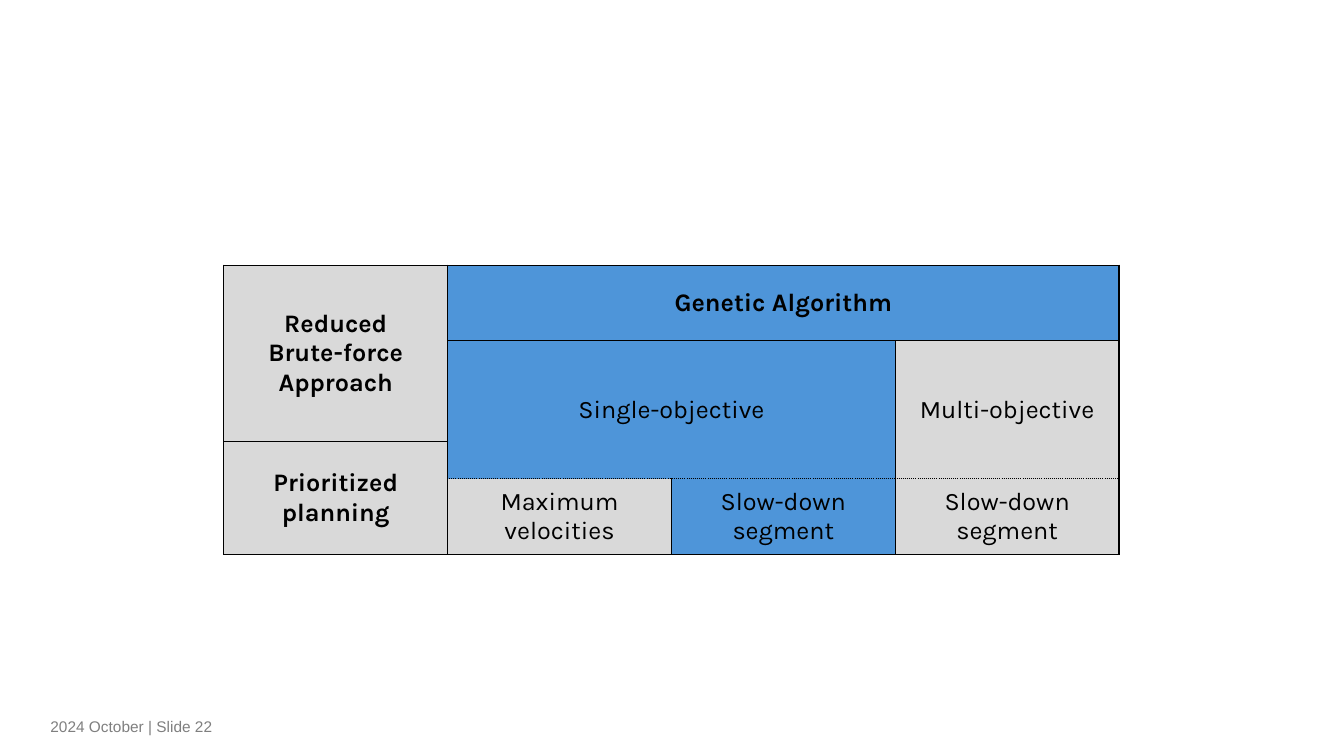
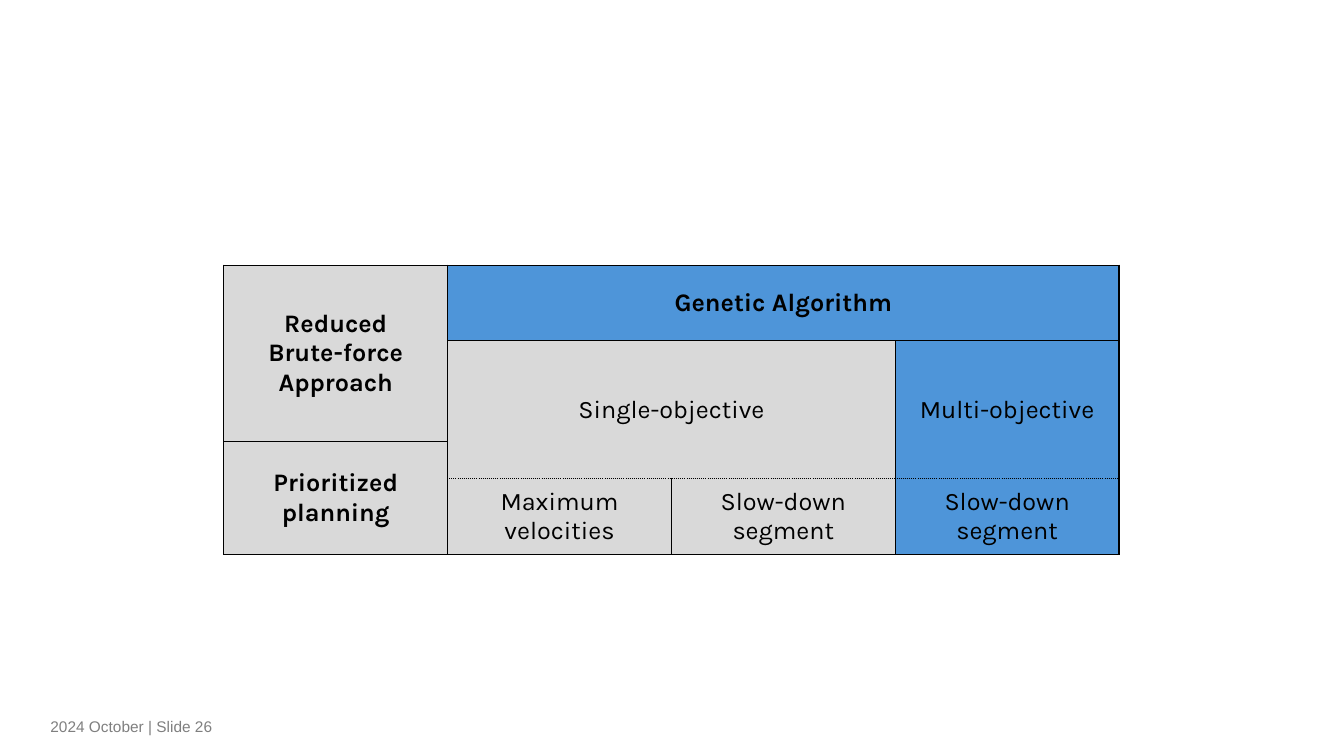
import pptx
import pptx.util
import pptx.dml.color
import pptx.enum.text
import pptx.oxml
import pptx.oxml.ns

Inches = pptx.util.Inches
BLUE, GRAY, BLACK, MUTED = "4E95D9", "D9D9D9", "000000", "7F7F7F"

COL = 2.22
ROWS = (0.75, 0.37, 0.37, 0.75)
BLOCKS = {
    "force": (0, 0, 2, 1, "Reduced\nBrute-force\nApproach", True, ""),
    "plan": (2, 0, 2, 1, "Prioritized planning", True, ""),
    "gene": (0, 1, 1, 3, "Genetic Algorithm", True, ""),
    "single": (1, 1, 2, 2, "Single-objective", False, "B"),
    "multi": (1, 3, 2, 1, "Multi-objective", False, "B"),
    "speed": (3, 1, 1, 1, "Maximum velocities", False, "T"),
    "slow": (3, 2, 1, 1, "Slow-down segment", False, "T"),
    "both": (3, 3, 1, 1, "Slow-down segment", False, "T"),
}
SLIDES = (
    (22, ("gene", "single", "slow")),
    (26, ("gene", "multi", "both")),
)


def color(code):
    return pptx.dml.color.RGBColor.from_string(code)


class Deck:
    font = "Karla"
    size = 18

    def __init__(self):
        self.file = pptx.Presentation()
        self.file.slide_width = Inches(13.33)
        self.file.slide_height = Inches(7.5)
        self.slide = None

    def page(self, number):
        self.slide = self.file.slides.add_slide(self.file.slide_layouts[6])
        self.footer(f"2024 October | Slide {number}")

    def style(self, frame, font, size, ink, bold=False, align=None):
        for para in frame.paragraphs:
            para.alignment = align
            for run in para.runs:
                run.font.name = font
                run.font.size = pptx.util.Pt(size)
                run.font.bold = bold
                run.font.color.rgb = color(ink)

    def footer(self, text):
        box = self.slide.shapes.add_textbox(
            Inches(0.5), Inches(7.12), Inches(2.33), Inches(0.22))
        frame = box.text_frame
        frame.word_wrap = True
        frame.margin_left = frame.margin_top = frame.margin_right = 0
        frame.margin_bottom = Inches(0.05)
        frame.vertical_anchor = pptx.enum.text.MSO_ANCHOR.MIDDLE
        frame.text = text
        self.style(frame, "Arial", 11, MUTED)

    def border(self, cell, dotted):
        props = cell._tc.get_or_add_tcPr()
        space = pptx.oxml.ns.nsdecls("a")
        for side in "LRTB":
            dash = "sysDot" if side in dotted else "solid"
            props.append(pptx.oxml.parse_xml(
                f'<a:ln{side} {space} w="12700"><a:solidFill>'
                f'<a:srgbClr val="{BLACK}"/></a:solidFill>'
                f'<a:prstDash val="{dash}"/></a:ln{side}>'))

    def block(self, table, place, fill):
        row, col, high, wide, text, bold, dotted = place
        for r in range(row, row + high):
            for c in range(col, col + wide):
                cell = table.cell(r, c)
                self.border(cell, dotted)
                cell.fill.solid()
                cell.fill.fore_color.rgb = color(fill)
        cell = table.cell(row, col)
        if high * wide > 1:
            cell.merge(table.cell(row + high - 1, col + wide - 1))
        cell.vertical_anchor = pptx.enum.text.MSO_ANCHOR.MIDDLE
        cell.text_frame.text = text
        self.style(cell.text_frame, self.font, self.size, BLACK, bold,
                   pptx.enum.text.PP_ALIGN.CENTER)

    def table(self, active):
        table = self.slide.shapes.add_table(
            len(ROWS), 4, Inches(2.22), Inches(2.63),
            Inches(4 * COL), Inches(sum(ROWS))).table
        table.first_row = table.horz_banding = False
        for col in table.columns:
            col.width = Inches(COL)
        for row, height in zip(table.rows, ROWS):
            row.height = Inches(height)
        for name, place in BLOCKS.items():
            self.block(table, place, BLUE if name in active else GRAY)


def main():
    deck = Deck()
    for number, active in SLIDES:
        deck.page(number)
        deck.table(active)
    deck.file.save("out.pptx")


if __name__ == "__main__":
    main()
